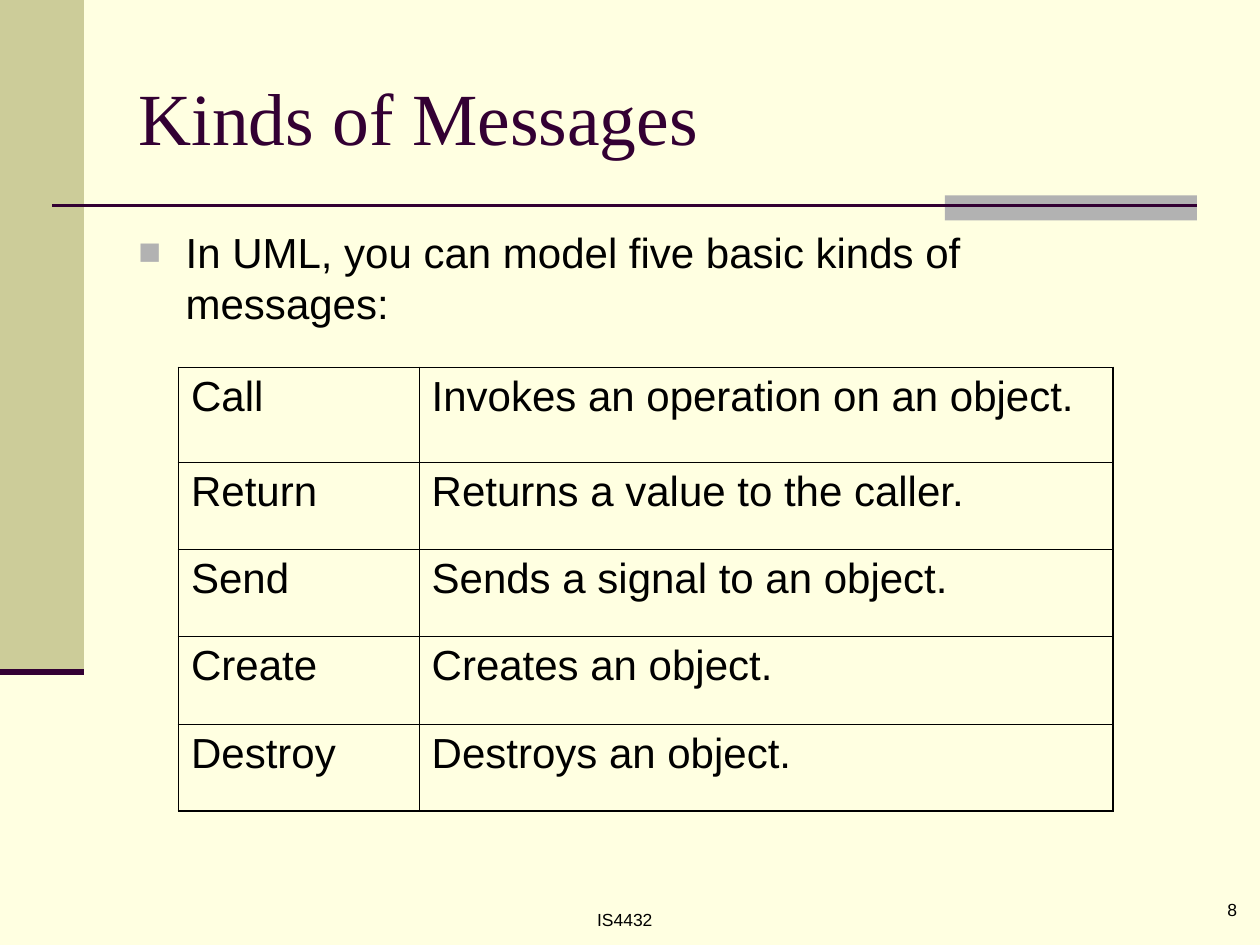
from dataclasses import dataclass

from lxml.etree import SubElement
from pptx import Presentation
from pptx.dml.color import RGBColor as Color
from pptx.enum.shapes import MSO_CONNECTOR as Connector, MSO_SHAPE as Preset
from pptx.enum.text import MSO_ANCHOR as Anchor, PP_ALIGN as Align
from pptx.oxml.ns import qn
from pptx.util import Pt


@dataclass(frozen=True)
class Theme:
    background: str = "FFFFE1"
    sidebar: str = "CCCC99"
    accent: str = "B2B2B2"
    heading: str = "330033"
    ink: str = "000000"
    heading_font: str = "Times New Roman"
    body_font: str = "Arial"
    title_size: float = 42
    body_size: float = 24
    footer_size: float = 10
    outer_border: float = 1.08
    inner_border: float = 0.45


class SlideBuilder:
    def __init__(self, slide, theme):
        self.slide = slide
        self.theme = theme
        fill = slide.background.fill
        fill.solid()
        fill.fore_color.rgb = Color.from_string(theme.background)

    def add_run(self, paragraph, text, size, font=None, color=None, align=Align.LEFT):
        paragraph.alignment = align
        run = paragraph.add_run()
        run.text = text
        run.font.size = Pt(size)
        run.font.name = font or self.theme.body_font
        run.font.color.rgb = Color.from_string(color or self.theme.ink)

    def title(self, text, left, top, width, height):
        shape = self.slide.shapes.title
        shape.left, shape.top = Pt(left), Pt(top)
        shape.width, shape.height = Pt(width), Pt(height)
        shape.text_frame.vertical_anchor = Anchor.MIDDLE
        self.add_run(shape.text_frame.paragraphs[0], text, self.theme.title_size,
                     self.theme.heading_font, self.theme.heading)

    def block(self, color, left, top, width, height):
        shape = self.slide.shapes.add_shape(
            Preset.RECTANGLE, Pt(left), Pt(top), Pt(width), Pt(height))
        shape.shadow.inherit = False
        shape.fill.solid()
        shape.fill.fore_color.rgb = Color.from_string(color)
        shape.line.fill.background()

    def rule(self, left, right, y, weight):
        line = self.slide.shapes.add_connector(
            Connector.STRAIGHT, Pt(left), Pt(y), Pt(right), Pt(y))
        line.line.color.rgb = Color.from_string(self.theme.heading)
        line.line.width = Pt(weight)
        SubElement(line._element.spPr, qn("a:effectLst"))

    def text(self, text, left, top, width, height, size, align=Align.LEFT):
        box = self.slide.shapes.add_textbox(Pt(left), Pt(top), Pt(width), Pt(height))
        box.text_frame.word_wrap = True
        paragraph = box.text_frame.paragraphs[0]
        self.add_run(paragraph, text, size, align=align)
        return paragraph

    def bullet(self, text, left, top, width, height, indent):
        paragraph = self.text(text, left, top, width, height, self.theme.body_size)
        properties = paragraph._p.get_or_add_pPr()
        properties.set("marL", str(Pt(indent)))
        properties.set("indent", str(-Pt(indent)))
        color = SubElement(properties, qn("a:buClr"))
        SubElement(color, qn("a:srgbClr"), val=self.theme.accent)
        SubElement(properties, qn("a:buSzPct"), val="90000")
        SubElement(properties, qn("a:buFont"), typeface=self.theme.body_font)
        SubElement(properties, qn("a:buChar"), char="■")

    def border(self, cell, side, outer):
        weight = self.theme.outer_border if outer else self.theme.inner_border
        line = SubElement(cell._tc.get_or_add_tcPr(), qn(f"a:ln{side}"), w=str(Pt(weight)))
        fill = SubElement(line, qn("a:solidFill"))
        SubElement(fill, qn("a:srgbClr"), val=self.theme.ink)

    def table(self, rows, left, top, widths, heights):
        table = self.slide.shapes.add_table(
            len(rows), len(widths), Pt(left), Pt(top),
            Pt(sum(widths)), Pt(sum(heights))).table
        table.first_row = False
        table.horz_banding = False
        for column, width in zip(table.columns, widths):
            column.width = Pt(width)
        for row, height in zip(table.rows, heights):
            row.height = Pt(height)
        last_row, last_column = len(rows) - 1, len(widths) - 1
        for r, values in enumerate(rows):
            for c, value in enumerate(values):
                cell = table.cell(r, c)
                outer_sides = {"L": c == 0, "R": c == last_column,
                               "T": r == 0, "B": r == last_row}
                for side, outer in outer_sides.items():
                    self.border(cell, side, outer)
                cell.fill.background()
                self.add_run(cell.text_frame.paragraphs[0], value, self.theme.body_size)


def main():
    presentation = Presentation()
    presentation.slide_width, presentation.slide_height = Pt(720), Pt(540)
    theme = Theme()
    builder = SlideBuilder(
        presentation.slides.add_slide(presentation.slide_layouts[5]), theme)

    builder.block(theme.sidebar, 0, 0, 48, 384)
    builder.block(theme.accent, 540, 111.6, 144, 14.4)
    builder.rule(30, 684, 117.5, 1.5)
    builder.rule(0, 48, 384, 3.5)
    builder.title("Kinds of Messages", 72, 21.6, 612, 90)
    builder.bullet("In UML, you can model five basic kinds of messages:",
                   72, 126, 584, 80, 27)

    messages = [
        ("Call", "Invokes an operation on an object."),
        ("Return", "Returns a value to the caller."),
        ("Send", "Sends a signal to an object."),
        ("Create", "Creates an object."),
        ("Destroy", "Destroys an object."),
    ]
    heights = [54] + [49.9] * (len(messages) - 1)
    builder.table(messages, 102, 210, [137.5, 396.7], heights)

    builder.text("IS4432", 240, 516, 234, 24, theme.footer_size, Align.CENTER)
    builder.text("8", 564, 510, 150, 24, theme.footer_size, Align.RIGHT)
    presentation.save("out.pptx")


if __name__ == "__main__":
    main()
